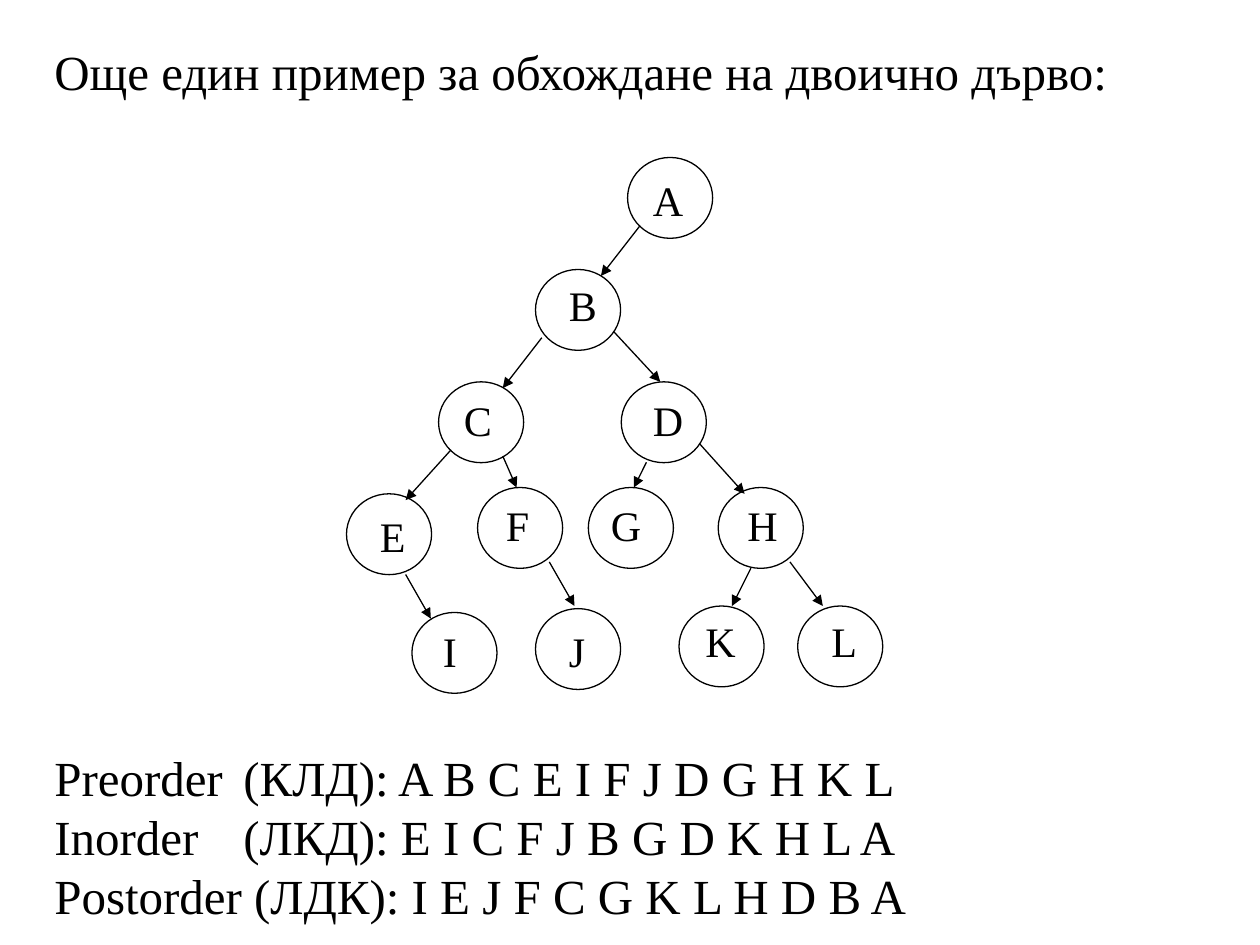
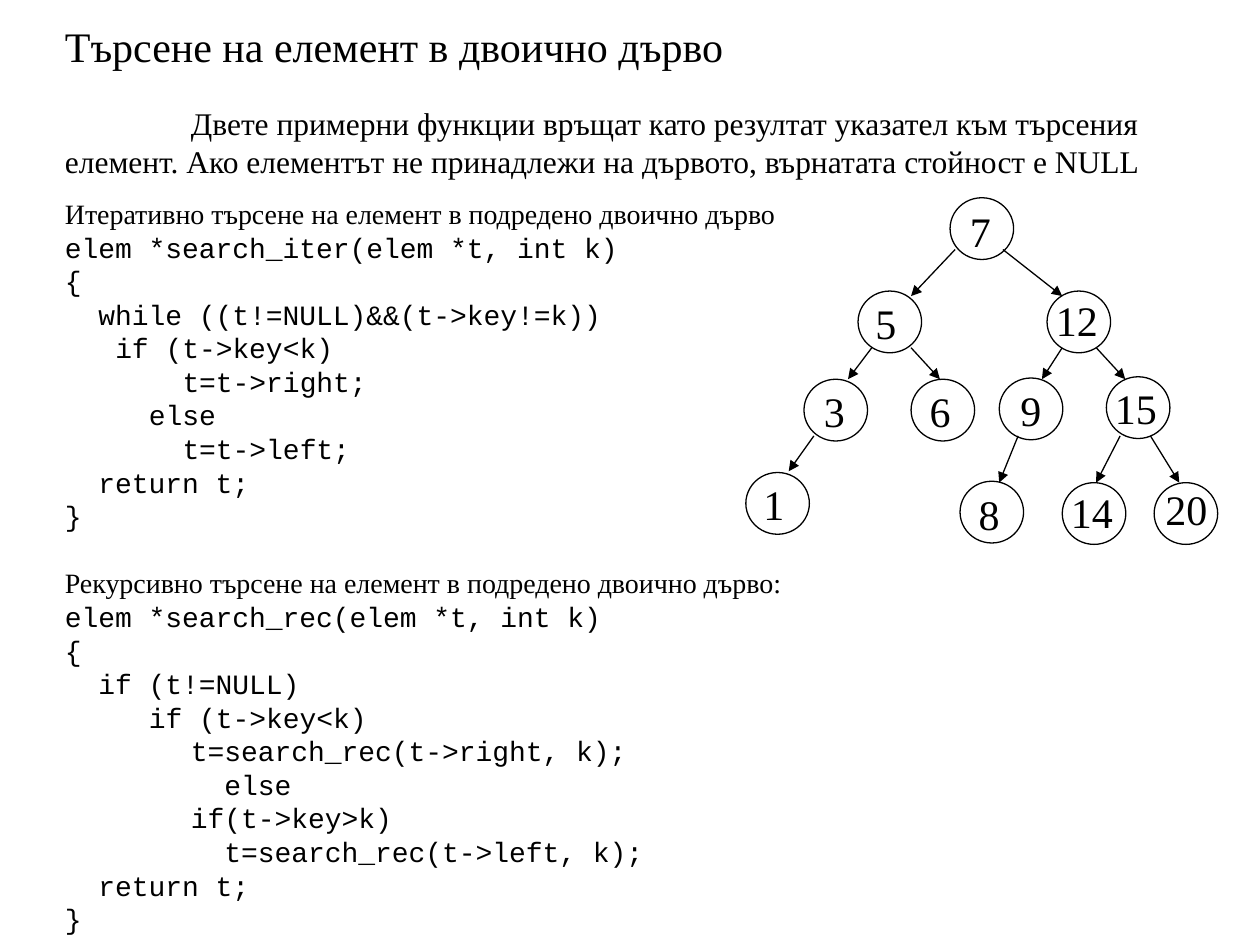
from lxml import etree
from pptx import Presentation
from pptx.dml import color
from pptx.enum import shapes, text
from pptx.oxml import ns
from pptx.util import Pt

SERIF, MONO = "Times New Roman", "Courier New"
BLACK, WHITE = "000000", "FFFFFF"
LEADING = 1.2
TAB_STEP = 72
MONO_ADVANCE = 0.6


def rgb(hex_code):
    return color.RGBColor.from_string(hex_code)


def add_xml(parent, tag, **attrs):
    return etree.SubElement(parent, ns.qn(tag), attrs)


class Deck:
    def __init__(self):
        self.prs = Presentation()
        self.prs.slide_width, self.prs.slide_height = Pt(720), Pt(540)
        self.s = None

    def slide(self):
        self.s = self.prs.slides.add_slide(self.prs.slide_layouts[6])

    def box(self, x, y, w, h, anchor=text.MSO_ANCHOR.TOP):
        sp = self.s.shapes.add_textbox(Pt(x), Pt(y), Pt(w), Pt(h))
        tf = sp.text_frame
        tf.word_wrap = True
        tf.vertical_anchor = anchor
        return tf

    def para(self, tf, line, size, font=SERIF, before=0, left=0, first=0, tab=None):
        p = tf.paragraphs[0]
        if p.runs:
            p = tf.add_paragraph()
        p.line_spacing = Pt(size * LEADING)
        p.space_before = Pt(before)
        pPr = p._p.get_or_add_pPr()
        pPr.set("marL", str(Pt(left)))
        pPr.set("indent", str(Pt(first)))
        if tab:
            tabs = add_xml(pPr, "a:tabLst")
            add_xml(tabs, "a:tab", pos=str(Pt(tab)), algn="l")
        r = p.add_run()
        r.text = line
        r.font.name = font
        r.font.size = Pt(size)
        r.font.color.rgb = rgb(BLACK)

    def code(self, tf, source, size=16):
        for line in source.strip().splitlines():
            body = line.lstrip()
            lead = line[:len(line) - len(body)]
            left = lead.count("\t") * TAB_STEP + lead.count(" ") * size * MONO_ADVANCE
            self.para(tf, body, size, MONO, left=left)

    def node(self, x, y, w, h):
        sp = self.s.shapes.add_shape(shapes.MSO_SHAPE.OVAL, Pt(x), Pt(y), Pt(w), Pt(h))
        sp.shadow.inherit = False
        sp.fill.solid()
        sp.fill.fore_color.rgb = rgb(WHITE)
        sp.line.color.rgb = rgb(BLACK)
        sp.line.width = Pt(0.75)

    def arrow(self, *ends):
        cn = self.s.shapes.add_connector(shapes.MSO_CONNECTOR.STRAIGHT, *map(Pt, ends))
        cn.line.color.rgb = rgb(BLACK)
        cn.line.width = Pt(0.75)
        add_xml(cn.line._get_or_add_ln(), "a:tailEnd", type="triangle")
        add_xml(cn._element.spPr, "a:effectLst")

    def label(self, key, x, y):
        tf = self.box(x, y, 18 + 15 * len(key), 36)
        self.para(tf, key, 24)

    def tree(self, nodes, arrows, w, h):
        for _, x, y, _, _ in nodes:
            self.node(x, y, w, h)
        for ends in arrows:
            self.arrow(*ends)
        for key, _, _, x, y in nodes:
            self.label(key, x, y)


LETTER_NODES = [
    ("A", 358.6, 90, 366, 96),
    ("B", 306, 154, 318, 156),
    ("C", 250.6, 218.2, 258, 222),
    ("E", 198, 282.2, 210, 288),
    ("I", 235.4, 350, 246, 354),
    ("F", 272.9, 278.6, 282, 282),
    ("D", 355, 218.2, 366, 222),
    ("J", 306, 347.8, 318, 354),
    ("G", 336.2, 278.6, 342, 282),
    ("H", 410.4, 278.6, 420, 282),
    ("K", 388, 346.3, 396, 348),
    ("L", 455.8, 346.3, 468, 348),
]
LETTER_ARROWS = [
    (365.8, 128.9, 343.4, 157.7),
    (309.6, 193, 287.3, 221.8),
    (257.8, 257, 231.8, 285.8),
    (231.8, 328.3, 246.2, 353.5),
    (287.3, 260.6, 295.2, 278.6),
    (313.9, 321.1, 328.3, 346.3),
    (350.6, 189.4, 377.3, 218.2),
    (369.4, 264.2, 362.2, 278.6),
    (399.6, 253.4, 425.5, 282.2),
    (429.1, 324.7, 418.3, 346.3),
    (451.4, 321.1, 470.2, 346.3),
]
NUMBER_NODES = [
    ("7", 542.9, 113, 547.2, 113.8),
    ("5", 490.3, 166.3, 493.2, 166.3),
    ("12", 598.3, 166.3, 596.2, 164.9),
    ("9", 571, 216, 576, 216),
    ("8", 548.6, 275, 552.2, 275.8),
    ("15", 632.2, 215.3, 630, 215.3),
    ("14", 607, 275.8, 604.8, 274.3),
    ("20", 659.5, 275.8, 658.8, 272.9),
    ("1", 426.2, 270, 429.1, 270),
    ("6", 520.6, 216.7, 524.2, 216.7),
    ("3", 459.4, 216.7, 463.7, 216.7),
]
NUMBER_ARROWS = [
    (545.8, 142.6, 520.6, 169.2),
    (498.2, 198.7, 484.6, 216.7),
    (465.1, 249.1, 450.7, 269.3),
    (520.6, 198.7, 537.1, 216.7),
    (573.1, 142.6, 607, 169.2),
    (607, 198.7, 595.4, 216.7),
    (581.8, 249.1, 571, 275.8),
    (657.4, 249.1, 673.9, 275.8),
    (626.4, 198.7, 643, 216.7),
    (640.1, 249.1, 626.4, 275.8),
]
SEARCH_ITER = """
elem *search_iter(elem *t, int k)
{
  while ((t!=NULL)&&(t->key!=k))
   if (t->key<k)
       t=t->right;
     else
       t=t->left;
  return t;
}
"""
SEARCH_REC = """
elem *search_rec(elem *t, int k)
{
  if (t!=NULL)
     if (t->key<k)
\tt=search_rec(t->right, k);
\t  else
\tif(t->key>k)
\t  t=search_rec(t->left, k);
  return t;
}
"""


def traversal_slide(deck):
    deck.slide()
    tf = deck.box(24, 48, 642, 456, text.MSO_ANCHOR.MIDDLE)
    deck.para(tf, "Още един пример за обхождане на двоично дърво:", 28)
    deck.para(tf, "Preorder\t(КЛД): A B C E I F J D G H K L", 28,
              before=11 * 28 * LEADING, tab=110.6)
    deck.para(tf, "Inorder\t(ЛКД): E I C F J B G D K H L A", 28, tab=110.6)
    deck.para(tf, "Postorder (ЛДК): I E J F C G K L H D B A", 28)
    deck.tree(LETTER_NODES, LETTER_ARROWS, 48.6, 46.2)


def search_slide(deck):
    deck.slide()
    tf = deck.box(30, 36, 636, 474, text.MSO_ANCHOR.MIDDLE)
    deck.para(tf, "Търсене на елемент в двоично дърво", 24)
    deck.para(tf, "Двете примерни функции връщат като резултат указател към търсения "
              "елемент. Ако елементът не принадлежи на дървото, върнатата стойност е NULL",
              18, before=19.2, first=TAB_STEP)
    deck.para(tf, "Итеративно търсене на елемент в подредено двоично дърво", 16, before=9.6)
    deck.code(tf, SEARCH_ITER)
    deck.para(tf, "Рекурсивно търсене на елемент в подредено двоично дърво:", 16, before=19.2)
    deck.code(tf, SEARCH_REC)
    deck.tree(NUMBER_NODES, NUMBER_ARROWS, 36.3, 35.3)


def main():
    deck = Deck()
    traversal_slide(deck)
    search_slide(deck)
    deck.prs.save("out.pptx")


if __name__ == "__main__":
    main()
